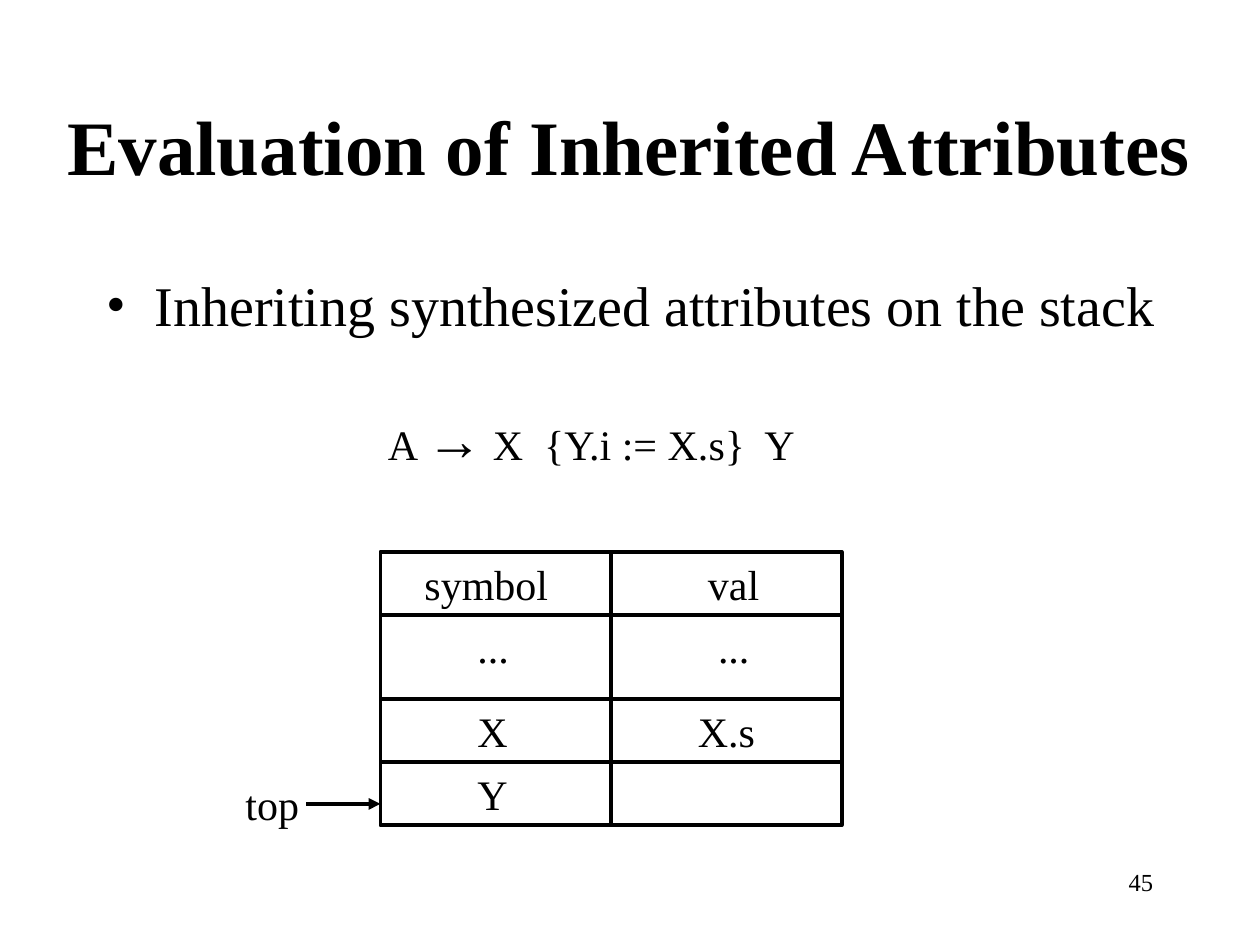
from typing import NamedTuple

from lxml.etree import SubElement
from pptx import Presentation
from pptx.dml.color import RGBColor
from pptx.enum.shapes import MSO_CONNECTOR, MSO_SHAPE
from pptx.enum.text import MSO_ANCHOR, MSO_AUTO_SIZE, PP_ALIGN
from pptx.oxml.ns import qn
from pptx.util import Inches, Pt

FONT = "Times New Roman"
BLACK = "000000"
LINE_WIDTH = Pt(2.25)

# Stack grid, in inches
LEFT, RIGHT = 3.02, 6.68
MIDDLE = (LEFT + RIGHT) / 2
ROWS = [4.38, 4.88, 5.55, 6.05]
BOTTOM = 6.55
LABEL_HEIGHT = 0.5
POINTER_Y = 6.38


class Label(NamedTuple):
    text: str
    left: float
    top: float
    width: float


LABELS = [
    Label("symbol", 3.27, ROWS[0], 1.18),
    Label("val", 5.52, ROWS[0], 0.61),
    Label("...", 3.69, ROWS[1], 0.45),
    Label("...", 5.6, ROWS[1], 0.45),
    Label("X", 3.69, ROWS[2], 0.44),
    Label("X.s", 5.44, ROWS[2], 0.66),
    Label("Y", 3.69, ROWS[3], 0.44),
    Label("top", 1.85, POINTER_Y - LABEL_HEIGHT / 2, 0.63),
]


def color(value: str) -> RGBColor:
    return RGBColor.from_string(value)


def style(font, size: float, name: str = FONT, bold: bool = False) -> None:
    font.name = name
    font.size = Pt(size)
    font.bold = bold
    font.color.rgb = color(BLACK)


def add_text(page, label: Label, size: float = 24, wrap: bool = False):
    box = page.shapes.add_textbox(Inches(label.left), Inches(label.top),
                                  Inches(label.width), Inches(LABEL_HEIGHT))
    frame = box.text_frame
    frame.word_wrap = wrap
    # Unwrapped labels grow with their text
    frame.auto_size = MSO_AUTO_SIZE.NONE if wrap else MSO_AUTO_SIZE.SHAPE_TO_FIT_TEXT
    para = frame.paragraphs[0]
    para.text = label.text
    style(para.font, size)
    return box


def add_line(page, x1: float, y1: float, x2: float, y2: float):
    line = page.shapes.add_connector(MSO_CONNECTOR.STRAIGHT, Inches(x1), Inches(y1),
                                     Inches(x2), Inches(y2))
    line.line.color.rgb = color(BLACK)
    line.line.width = LINE_WIDTH
    SubElement(line._element.spPr, qn("a:effectLst"))
    return line


def add_title(page) -> None:
    title = page.shapes.title
    title.left, title.top = Inches(0.27), Inches(0.52)
    title.width, title.height = Inches(9.45), Inches(1.25)
    title.text_frame.vertical_anchor = MSO_ANCHOR.MIDDLE
    para = title.text_frame.paragraphs[0]
    para.text = "Evaluation of Inherited Attributes"
    para.alignment = PP_ALIGN.CENTER
    style(para.font, 44, bold=True)


def add_bullet(para) -> None:
    properties = para._p.get_or_add_pPr()
    properties.set("marL", str(Inches(0.38)))
    properties.set("indent", str(Inches(-0.38)))
    bullet_font = properties.makeelement(qn("a:buFont"), {"typeface": FONT})
    bullet = properties.makeelement(qn("a:buChar"), {"char": "•"})
    properties.insert(0, bullet_font)
    properties.insert(1, bullet)


def add_body(page) -> None:
    box = add_text(page, Label("Inheriting synthesized attributes on the stack",
                               0.75, 2.1, 8.74), size=32, wrap=True)
    box.height = Inches(2.05)
    add_bullet(box.text_frame.paragraphs[0])

    # Production with its semantic action
    production = box.text_frame.add_paragraph()
    production.space_before = Pt(38)
    production._p.get_or_add_pPr().set("marL", str(Inches(2.23)))
    for text, size, name in [("A ", 24, FONT), ("→", 32, "Arial"),
                             (" X  {Y.i := X.s}  Y", 24, FONT)]:
        span = production.add_run()
        span.text = text
        style(span.font, size, name)


def add_stack(page) -> None:
    frame = page.shapes.add_shape(MSO_SHAPE.RECTANGLE, Inches(LEFT), Inches(ROWS[0]),
                                  Inches(RIGHT - LEFT), Inches(BOTTOM - ROWS[0]))
    frame.shadow.inherit = False
    frame.fill.background()
    frame.line.color.rgb = color(BLACK)
    frame.line.width = LINE_WIDTH

    # Dividers
    for y in ROWS[1:]:
        add_line(page, LEFT, y, RIGHT, y)
    divider = add_line(page, MIDDLE, ROWS[0], MIDDLE, BOTTOM)
    divider.begin_connect(frame, 0)
    divider.end_connect(frame, 2)

    for label in LABELS:
        add_text(page, label)

    # Pointer to the top of the stack
    pointer = add_line(page, 2.43, POINTER_Y, LEFT, POINTER_Y)
    SubElement(pointer.line._get_or_add_ln(), qn("a:tailEnd"), type="triangle")


def main() -> None:
    deck = Presentation()
    deck.slide_width, deck.slide_height = Inches(10), Inches(7.5)
    page = deck.slides.add_slide(deck.slide_layouts[5])
    add_title(page)
    add_body(page)
    add_stack(page)
    number = add_text(page, Label("45", 7.17, 6.83, 2.08), size=14, wrap=True)
    number.text_frame.paragraphs[0].alignment = PP_ALIGN.RIGHT
    deck.save("out.pptx")


if __name__ == "__main__":
    main()
